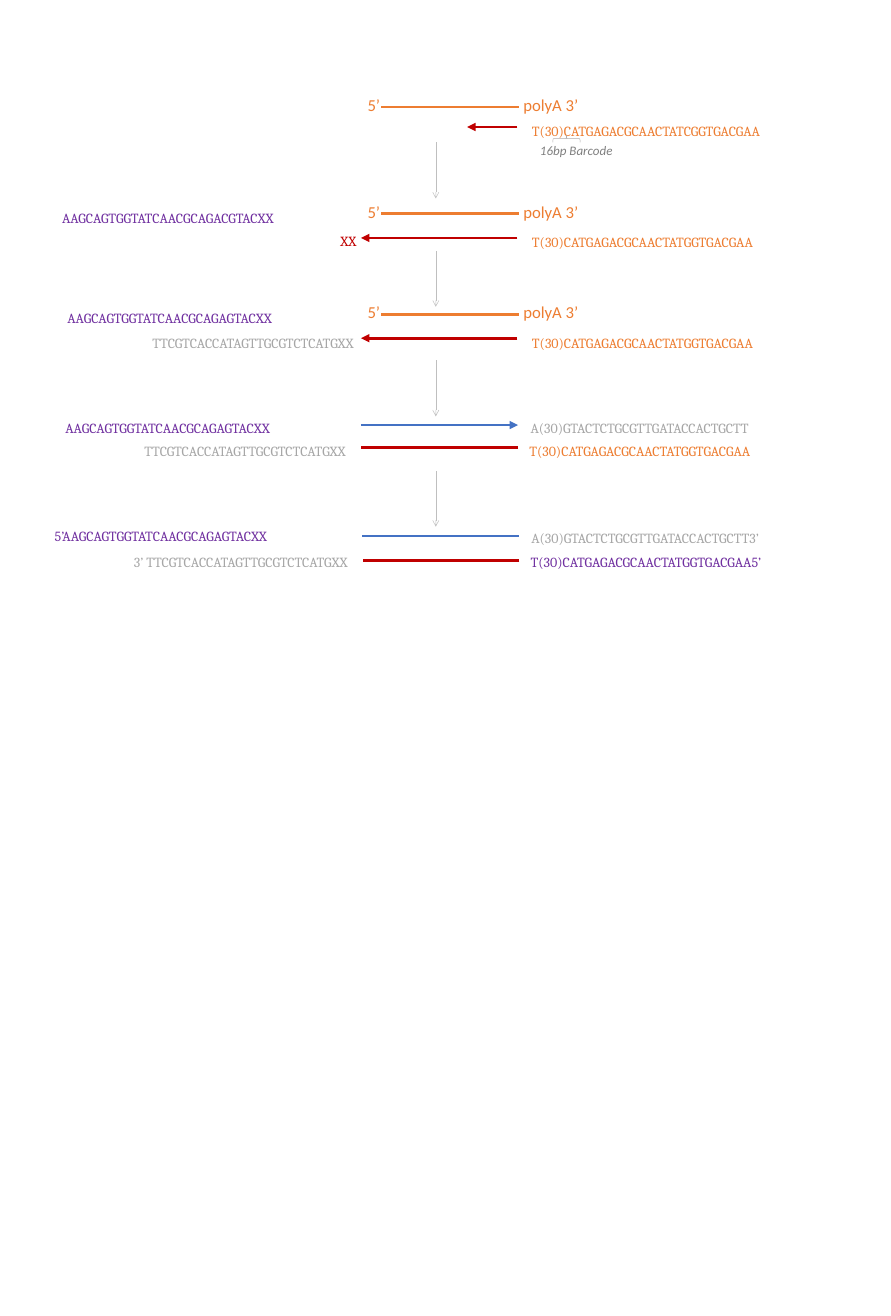
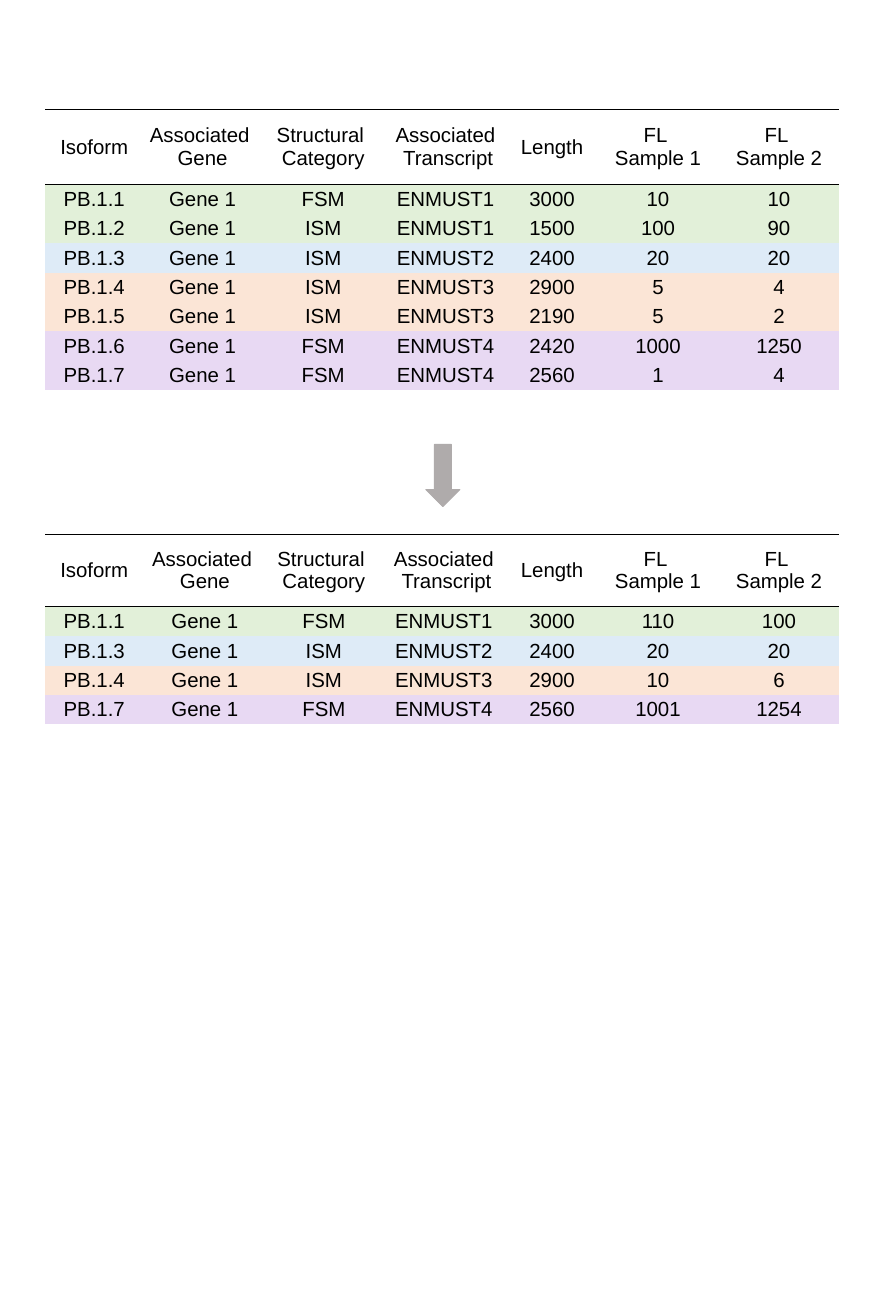
from lxml.etree import SubElement
from pptx import Presentation
from pptx.dml.color import RGBColor
from pptx.enum.shapes import MSO_CONNECTOR, MSO_SHAPE
from pptx.enum.text import MSO_ANCHOR, PP_ALIGN
from pptx.oxml.ns import qn
from pptx.util import Pt

PX = 9144  # 100 px to the inch
WIDE, HIGH = 1333, 1969

ORANGE, RED, BLUE, PURPLE = "ED7D31", "C00000", "4472C4", "7030A0"
GRAY, PALE, STONE, DIM, BLACK = "A6A6A6", "BFBFBF", "AFABAB", "808080", "000000"
GREEN, SKY, PEACH, LILAC = "E2F0D9", "DEEBF7", "FBE5D6", "E8D9F3"
PLAIN = "{2D5ABB26-0587-4C30-8999-92F81FD0307C}"
LEFT, CENTER, RIGHT = PP_ALIGN.LEFT, PP_ALIGN.CENTER, PP_ALIGN.RIGHT

SWITCH = "AAGCAGTGGTATCAACGCAGAGTACXX"
SWITCH_REV = "TTCGTCACCATAGTTGCGTCTCATGXX"
PRIMER = "T(30)CATGAGACGCAACTATGGTGACGAA"
PRIMER_REV = "A(30)GTACTCTGCGTTGATACCACTGCTT"

MRNA = [160, 320, 470]  # y of each orange strand
# text, left, top, width, colour, alignment
SEQS = [
    ("T(30)CATGAGACGCAACTATCGGTGACGAA", 786, 178, 525, ORANGE, LEFT),
    ("AAGCAGTGGTATCAACGCAGACGTACXX", 83, 308, 490, PURPLE, LEFT),
    ("XX", 53, 343, 490, RED, RIGHT),
    (PRIMER, 786, 345, 525, ORANGE, LEFT),
    (SWITCH, 91, 459, 490, PURPLE, LEFT),
    (SWITCH_REV, 49, 495, 490, GRAY, RIGHT),
    (PRIMER, 786, 495, 525, ORANGE, LEFT),
    (SWITCH, 88, 623, 490, PURPLE, LEFT),
    (SWITCH_REV, 53, 658, 474, GRAY, RIGHT),
    (PRIMER_REV, 784, 623, 490, GRAY, LEFT),
    (PRIMER, 782, 658, 525, ORANGE, LEFT),
    ("5’" + SWITCH, 72, 785, 507, PURPLE, LEFT),
    ("3’ " + SWITCH_REV, 40, 824, 490, GRAY, RIGHT),
    (PRIMER_REV + "3’", 785, 788, 510, GRAY, LEFT),
    (PRIMER + "5’", 784, 824, 525, PURPLE, LEFT),
]
# from x, to x, y, colour, arrowhead
STRANDS = [
    (774, 699, 190, RED, "triangle"),
    (774, 540, 356, RED, "triangle"),
    (774, 540, 506, RED, "triangle"),
    (540, 775, 636, BLUE, "triangle"),
    (775, 540, 669, RED, None),
    (776, 542, 802, BLUE, None),
    (777, 543, 839, RED, None),
]
STEPS = [(213, 297), (376, 459), (539, 623), (705, 788)]

HEAD = ["Isoform", "Associated \nGene", "Structural \nCategory",
        "Associated\n Transcript", "Length", "FL \nSample 1", "FL \nSample 2"]
# fill, isoform, category, transcript, length, sample 1, sample 2
FULL = [
    (GREEN, "PB.1.1", "FSM", "ENMUST1", 3000, 10, 10),
    (GREEN, "PB.1.2", "ISM", "ENMUST1", 1500, 100, 90),
    (SKY, "PB.1.3", "ISM", "ENMUST2", 2400, 20, 20),
    (PEACH, "PB.1.4", "ISM", "ENMUST3", 2900, 5, 4),
    (PEACH, "PB.1.5", "ISM", "ENMUST3", 2190, 5, 2),
    (LILAC, "PB.1.6", "FSM", "ENMUST4", 2420, 1000, 1250),
    (LILAC, "PB.1.7", "FSM", "ENMUST4", 2560, 1, 4),
]
MERGED = [
    (GREEN, "PB.1.1", "FSM", "ENMUST1", 3000, 110, 100),
    (SKY, "PB.1.3", "ISM", "ENMUST2", 2400, 20, 20),
    (PEACH, "PB.1.4", "ISM", "ENMUST3", 2900, 10, 6),
    (LILAC, "PB.1.7", "FSM", "ENMUST4", 2560, 1001, 1254),
]
# top, header height, column widths, rows
TABLES = [
    (164, 112, [146, 178, 183, 183, 136, 181, 181], FULL),
    (799, 109, [146, 185, 171, 188, 136, 181, 181], MERGED),
]
ROW = 44


def px(*vals):
    return [val * PX for val in vals]


def rgb(code):
    return RGBColor.from_string(code)


def write(frame, text, size=15, font="Cambria", color=BLACK, align=LEFT, italic=False):
    """Fill a text frame, one paragraph for each line of text."""
    frame.word_wrap = True
    for i, line in enumerate(text.split("\n")):
        para = frame.paragraphs[0] if i == 0 else frame.add_paragraph()
        para.alignment = align
        run = para.add_run()
        run.text = line
        run.font.size, run.font.name = Pt(size), font
        run.font.italic = italic
        run.font.color.rgb = rgb(color)


def label(slide, text, x, y, w, h=35, **style):
    write(slide.shapes.add_textbox(*px(x, y, w, h)).text_frame, text, **style)


def stroke(slide, x1, y1, x2, y2, color, width=3, tip=None):
    line = slide.shapes.add_connector(MSO_CONNECTOR.STRAIGHT, *px(x1, y1, x2, y2))
    line.line.color.rgb = rgb(color)
    line.line.width = Pt(width)
    if tip:
        SubElement(line.line._get_or_add_ln(), qn("a:tailEnd"), type=tip)
    SubElement(line.element.spPr, qn("a:effectLst"))


def shape(slide, kind, x, y, w, h, color, width, fill=None, turn=0):
    item = slide.shapes.add_shape(kind, *px(x, y, w, h))
    item.shadow.inherit = False
    item.rotation = turn
    item.line.color.rgb = rgb(color)
    item.line.width = Pt(width)
    if fill:
        item.fill.solid()
        item.fill.fore_color.rgb = rgb(fill)
    else:
        item.fill.background()


def rule(cell, side):
    """Draw a black border on one side of a cell."""
    props = cell._tc.get_or_add_tcPr()
    edge = SubElement(props, qn("a:" + side), w=str(Pt(1)))
    SubElement(SubElement(edge, qn("a:solidFill")), qn("a:srgbClr"), val=BLACK)


def grid(slide, top, head, cols, rows):
    high = head + ROW * len(rows)
    frame = slide.shapes.add_table(len(rows) + 1, len(cols), *px(68, top, sum(cols), high))
    frame.element.find(".//" + qn("a:tableStyleId")).text = PLAIN
    table = frame.table
    table.first_row = table.horz_banding = False
    for col, width in zip(table.columns, cols):
        col.width = width * PX
    lines = [(None, HEAD)]
    lines += [(fill, [iso, "Gene 1", *rest]) for fill, iso, *rest in rows]
    for r, (fill, texts) in enumerate(lines):
        table.rows[r].height = (ROW if r else head) * PX
        for c, text in enumerate(texts):
            cell = table.cell(r, c)
            cell.vertical_anchor = MSO_ANCHOR.MIDDLE
            cell.margin_top = cell.margin_bottom = 4 * PX
            write(cell.text_frame, str(text), size=22, font="Arial", align=CENTER)
            if fill:
                cell.fill.solid()
                cell.fill.fore_color.rgb = rgb(fill)
            else:
                rule(cell, "lnT")
                rule(cell, "lnB")
                cell.fill.background()


def draw_steps(slide):
    for y in MRNA:
        stroke(slide, 570, y, 777, y, ORANGE)
        for text, x, width in [("5’", 540, 61), ("polyA 3’", 773, 272)]:
            label(slide, text, x, y - 23, width, 40, size=18, font="Calibri", color=ORANGE)
    for text, x, y, width, color, align in SEQS:
        label(slide, text, x, y, width, color=color, align=align)
    shape(slide, MSO_SHAPE.RIGHT_BRACE, 842, 187, 11, 41, STONE, 0.5, turn=270)
    label(slide, "16bp Barcode", 798, 209, 397, size=14, font="Calibri",
          color=DIM, italic=True)
    for x1, x2, y, color, tip in STRANDS:
        stroke(slide, x1, y, x2, y, color, tip=tip)
    for y1, y2 in STEPS:
        stroke(slide, 652, y1, 652, y2, PALE, width=0.5, tip="arrow")


def draw_tables(slide):
    for table in TABLES:
        grid(slide, *table)
    shape(slide, MSO_SHAPE.DOWN_ARROW, 637, 665, 51, 93, STONE, 1, fill=STONE)


def main():
    deck = Presentation()
    deck.slide_width, deck.slide_height = px(WIDE, HIGH)
    for draw in (draw_steps, draw_tables):
        draw(deck.slides.add_slide(deck.slide_layouts[6]))
    deck.save("out.pptx")


if __name__ == "__main__":
    main()
